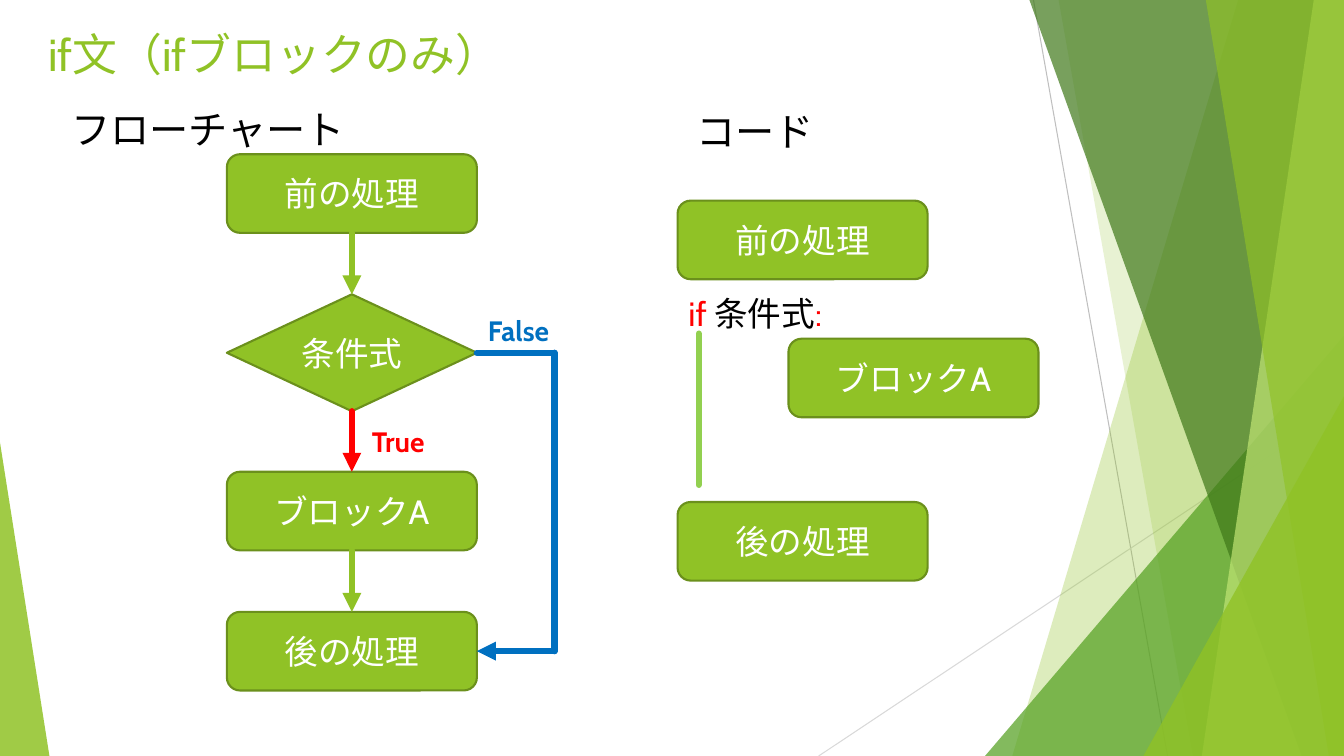
from lxml import etree
from pptx import Presentation, util as u
from pptx.dml.color import RGBColor
from pptx.enum import shapes, text
from pptx.oxml.ns import qn

PX = u.Inches(1) // 100
WIDTH, HEIGHT = 1333, 750
FONT = "Cabin"
BOX_WIDTH, BOX_HEIGHT = 248, 78
FLOW_LEFT, CODE_LEFT = 225, 672
GREEN, DARK_GREEN, LIGHT_GREEN = "90C226", "6B901C", "92D050"
RED, BLUE, BLACK, WHITE = "FF0000", "0070C0", "000000", "FFFFFF"
TOP, RIGHT, BOTTOM = 0, 3, 2

# Points, colour and opacity in percent, from back to front
FACETS = [
    ([(1228, 0), (WIDTH, 0), (WIDTH, HEIGHT), (1004, HEIGHT)], GREEN, 30),
    ([(1050, 0), (WIDTH, 0), (WIDTH, HEIGHT), (1183, HEIGHT)], GREEN, 20),
    ([(WIDTH, 333), (WIDTH, HEIGHT), (977, HEIGHT)], "54A021", 72),
    ([(1021, 0), (WIDTH, 0), (WIDTH, HEIGHT), (1291, HEIGHT)], "3F7819", 70),
    ([(1303, 0), (WIDTH, 0), (WIDTH, HEIGHT), (1192, HEIGHT)], "C0E474", 70),
    ([(1196, 0), (WIDTH, 0), (WIDTH, HEIGHT), (1318, HEIGHT)], GREEN, 65),
    ([(WIDTH, 393), (WIDTH, HEIGHT), (1134, HEIGHT)], GREEN, 80),
    ([(0, 439), (49, HEIGHT), (0, HEIGHT)], GREEN, 85),
]


def rgb(value):
    return RGBColor.from_string(value)


def format_run(run, size, color, bold=False):
    run.font.name = FONT
    run.font.size = u.Pt(size)
    run.font.bold = bold
    run.font.color.rgb = rgb(color)


def add_facet(slide, points, color, opacity):
    builder = slide.shapes.build_freeform(*points[0], scale=PX)
    builder.add_line_segments(points[1:], close=True)
    shape = builder.convert_to_shape()
    shape.shadow.inherit = False
    shape.line.fill.background()
    shape.fill.solid()
    shape.fill.fore_color.rgb = rgb(color)
    fill_color = shape.element.spPr.find(qn("a:solidFill"))[0]
    etree.SubElement(fill_color, qn("a:alpha"), val=str(opacity * 1000))


def add_line(slide, start, end, color, width=4.5, arrow=False):
    points = [value * PX for value in (*start, *end)]
    line = slide.shapes.add_connector(shapes.MSO_CONNECTOR.STRAIGHT, *points)
    line.line.color.rgb = rgb(color)
    line.line.width = u.Pt(width)
    outline = line.line._get_or_add_ln()
    outline.set("cap", "rnd")
    if arrow:
        etree.SubElement(outline, qn("a:tailEnd"), type="triangle")
    etree.SubElement(line.element.spPr, qn("a:effectLst"))
    return line


def add_step(slide, left, top, label, height=BOX_HEIGHT,
             kind=shapes.MSO_SHAPE.ROUNDED_RECTANGLE):
    shape = slide.shapes.add_shape(
        kind, left * PX, top * PX, BOX_WIDTH * PX, height * PX)
    shape.shadow.inherit = False
    shape.fill.solid()
    shape.fill.fore_color.rgb = rgb(GREEN)
    shape.line.color.rgb = rgb(DARK_GREEN)
    shape.line.width = u.Pt(1.5)
    frame = shape.text_frame
    frame.text = label
    frame.vertical_anchor = text.MSO_ANCHOR.MIDDLE
    paragraph = frame.paragraphs[0]
    paragraph.alignment = text.PP_ALIGN.CENTER
    format_run(paragraph.runs[0], 24, WHITE)
    return shape


def add_label(slide, box, parts, size, bold=False):
    """Add a text box whose parts are (wording, colour) pairs on one line."""
    frame = slide.shapes.add_textbox(*(value * PX for value in box)).text_frame
    frame.word_wrap = True
    for wording, color in parts:
        run = frame.paragraphs[0].add_run()
        run.text = wording
        format_run(run, size, color, bold)


def add_background(slide):
    add_line(slide, (1025, 0), (1158, HEIGHT), "BFBFBF", 0.75)
    add_line(slide, (WIDTH, 403), (812, HEIGHT), "D9D9D9", 0.75)
    for points, color, opacity in FACETS:
        add_facet(slide, points, color, opacity)


def add_flowchart(slide):
    add_label(slide, (61, 100, 380, 57), [("フローチャート", BLACK)], 28)
    before = add_step(slide, FLOW_LEFT, 153, "前の処理")
    condition = add_step(slide, FLOW_LEFT, 292, "条件式", 116,
                         shapes.MSO_SHAPE.DIAMOND)
    block = add_step(slide, FLOW_LEFT, 468, "ブロックA")
    after = add_step(slide, FLOW_LEFT, 607, "後の処理")

    for source, target, color in [(before, condition, GREEN),
                                  (condition, block, RED),
                                  (block, after, GREEN)]:
        arrow = add_line(slide, (0, 0), (0, 0), color, arrow=True)
        arrow.begin_connect(source, BOTTOM)
        arrow.end_connect(target, TOP)

    box_right, bypass = FLOW_LEFT + BOX_WIDTH, 550
    condition_y, after_y = 350, 646
    leave = add_line(slide, (box_right, condition_y), (bypass, condition_y), BLUE)
    leave.begin_connect(condition, RIGHT)
    add_line(slide, (bypass, condition_y), (bypass, after_y), BLUE)
    rejoin = add_line(slide, (bypass, after_y), (box_right, after_y), BLUE,
                      arrow=True)
    rejoin.end_connect(after, RIGHT)
    add_label(slide, (359, 416, 134, 44), [("True", RED)], 20, True)
    add_label(slide, (474, 306, 163, 44), [("False", BLUE)], 20, True)


def add_code(slide):
    add_label(slide, (681, 102, 334, 57), [("コード", BLACK)], 28)
    add_step(slide, CODE_LEFT, 199, "前の処理")
    add_label(slide, (673, 286, 383, 50),
              [("if ", RED), ("条件式", BLACK), (":", RED)], 24)
    add_step(slide, CODE_LEFT + 110, 336, "ブロックA")
    add_line(slide, (693, 331), (693, 481), LIGHT_GREEN)
    add_step(slide, CODE_LEFT, 498, "後の処理")


def main():
    presentation = Presentation()
    presentation.slide_width = WIDTH * PX
    presentation.slide_height = HEIGHT * PX
    slide = presentation.slides.add_slide(presentation.slide_layouts[6])
    add_background(slide)
    add_label(slide, (38, 22, 940, 78), [("if文（ifブロックのみ）", GREEN)], 32)
    add_flowchart(slide)
    add_code(slide)
    presentation.save("out.pptx")


if __name__ == "__main__":
    main()
